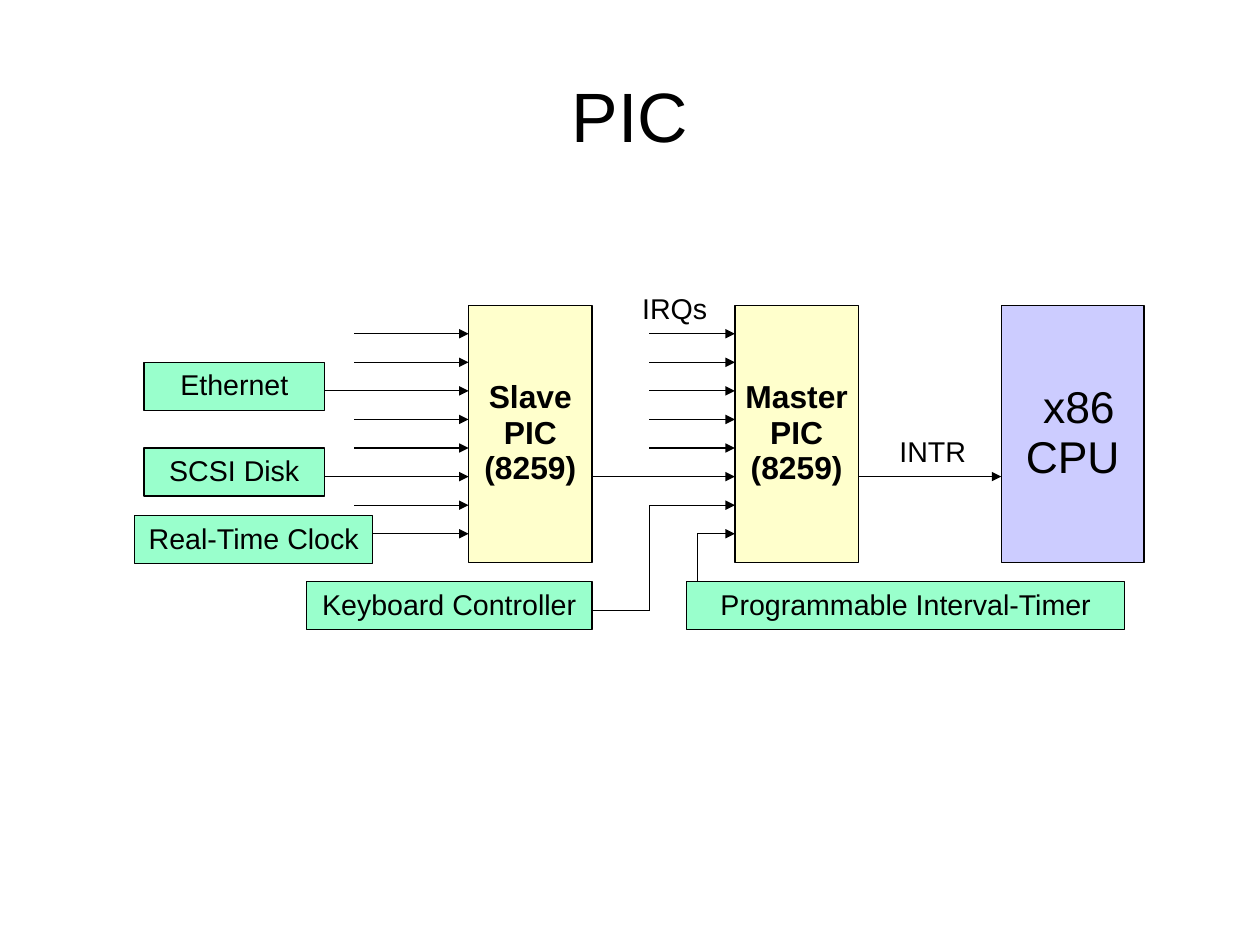
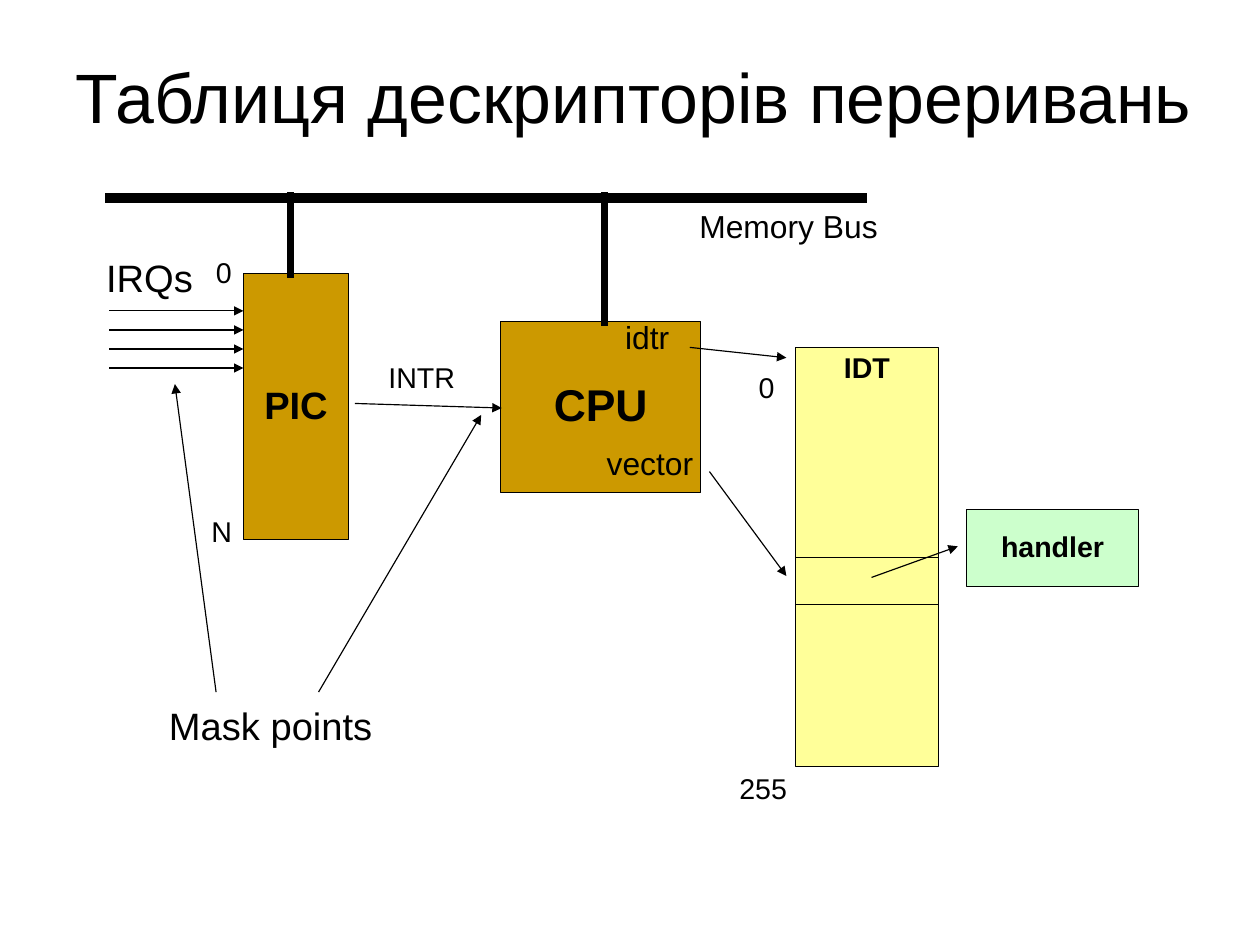
from lxml.etree import SubElement
from pptx import Presentation
from pptx.dml.color import RGBColor
from pptx.enum.shapes import MSO_CONNECTOR, MSO_SHAPE
from pptx.enum.text import MSO_ANCHOR, MSO_AUTO_SIZE, PP_ALIGN
from pptx.oxml.ns import qn
from pptx.util import Inches, Pt

# Shared style
FONT = "Arial"
BLACK = "000000"
CPU_BLUE = "CCCCFF"
PIC_CREAM = "FFFFCC"
DEVICE_GREEN = "99FFCC"
CHIP_BROWN = "CC9900"
TABLE_YELLOW = "FFFF99"
HANDLER_GREEN = "CCFFCC"
LINE_SPACING = 0.93


def add_text(page, text, at, size, fill=None, bold=False, anchor=MSO_ANCHOR.MIDDLE):
    """Add a filled box with centred text, or a plain label if there is no fill."""
    left, top, width, height = [Inches(length) for length in at]
    if fill:
        box = page.shapes.add_shape(MSO_SHAPE.RECTANGLE, left, top, width, height)
        box.shadow.inherit = False
        box.fill.solid()
        box.fill.fore_color.rgb = RGBColor.from_string(fill)
        box.line.color.rgb = RGBColor.from_string(BLACK)
        box.line.width = Pt(0.75)
        box.text_frame.vertical_anchor = anchor
    else:
        box = page.shapes.add_textbox(left, top, width, height)
        box.text_frame.auto_size = MSO_AUTO_SIZE.SHAPE_TO_FIT_TEXT
    box.text_frame.word_wrap = False
    box.text_frame.text = text
    for para in box.text_frame.paragraphs:
        para.alignment = PP_ALIGN.CENTER if fill else PP_ALIGN.LEFT
        para.line_spacing = LINE_SPACING
        para.font.name = FONT
        para.font.size = Pt(size)
        para.font.bold = bold
        para.font.color.rgb = RGBColor.from_string(BLACK)


def add_line(page, start, end, arrow=True, width=0.75):
    """Add a black line with square ends, and an arrowhead at its end if asked."""
    points = [Inches(length) for length in (*start, *end)]
    line = page.shapes.add_connector(MSO_CONNECTOR.STRAIGHT, *points)
    line.line.color.rgb = RGBColor.from_string(BLACK)
    line.line.width = Pt(width)
    properties = line._element.spPr
    outline = properties.find(qn("a:ln"))
    outline.set("cap", "sq")
    if arrow:
        SubElement(outline, qn("a:tailEnd"), type="triangle")
    SubElement(properties, qn("a:effectLst"))


# The page measures 28 by 21 centimetres
deck = Presentation()
deck.slide_width = Inches(28 / 2.54)
deck.slide_height = Inches(21 / 2.54)

# Pages and titles
pages = []
for title_text, at in [
    ("PIC", (0.55, 0.33, 9.92, 1.38)),
    ("Таблиця дескрипторів переривань", (0.19, 0.17, 10.72, 1.38)),
]:
    page = deck.slides.add_slide(deck.slide_layouts[5])
    title = page.shapes.title
    title.left, title.top, title.width, title.height = [Inches(length) for length in at]
    frame = title.text_frame
    frame.text = title_text
    frame.word_wrap = True
    frame.auto_size = MSO_AUTO_SIZE.NONE
    frame.vertical_anchor = MSO_ANCHOR.MIDDLE
    frame.margin_left = frame.margin_right = frame.margin_bottom = 0
    frame.margin_top = Inches(0.04)
    para = frame.paragraphs[0]
    para.alignment = PP_ALIGN.CENTER
    para.line_spacing = LINE_SPACING
    para.font.name = FONT
    para.font.size = Pt(44)
    para.font.color.rgb = RGBColor.from_string(BLACK)
    pages.append(page)
pic_page, idt_page = pages

# PIC: processor and controllers
slave_left, master_left, cpu_left = 4.1, 6.43, 8.76
chip_top, chip_width, chip_height = 2.67, 1.08, 2.25
add_text(pic_page, " x86\nCPU", (cpu_left, chip_top, 1.25, chip_height), 28, CPU_BLUE)
for name, left in [("Master", master_left), ("Slave", slave_left)]:
    add_text(pic_page, f"{name}\nPIC\n(8259)", (left, chip_top, chip_width, chip_height),
             20, PIC_CREAM, bold=True)

# PIC: eight inputs for each controller, some coming from a device
for chip_left, free_start, wired_starts in [
    (slave_left, 3.1, {2: 2.85, 5: 2.85, 7: 3.26}),
    (master_left, 5.68, {5: slave_left + chip_width, 7: 6.1}),
]:
    for irq in range(8):
        y = chip_top + 0.25 * (irq + 1)
        add_line(pic_page, (wired_starts.get(irq, free_start), y), (chip_left, y))
add_line(pic_page, (master_left + chip_width, 4.17), (cpu_left, 4.17))

# PIC: devices
for name, left, top, width in [
    ("Programmable Interval-Timer", 6.01, 5.09, 3.83),
    ("Keyboard Controller", 2.68, 5.09, 2.5),
    ("Real-Time Clock", 1.18, 4.51, 2.08),
    ("SCSI Disk", 1.26, 3.92, 1.58),
    ("Ethernet", 1.26, 3.17, 1.58),
]:
    add_text(pic_page, name, (left, top, width, 0.42), 18, DEVICE_GREEN)

# PIC: bent wires from the timer and the keyboard
for start, end in [
    ((6.1, 4.67), (6.1, 5.09)),
    ((5.68, 4.42), (5.68, 5.34)),
    ((5.68, 5.34), (5.18, 5.34)),
]:
    add_line(pic_page, start, end, arrow=False)

# PIC: labels
add_text(pic_page, "INTR", (7.77, 3.77, 0.78, 0.38), 18)
add_text(pic_page, "IRQs", (5.52, 2.52, 0.77, 0.38), 18)

# Descriptor table: boxes
for name, at, size, fill, anchor in [
    ("PIC", (2.13, 2.39, 0.92, 2.33), 24, CHIP_BROWN, MSO_ANCHOR.MIDDLE),
    ("CPU", (4.38, 2.81, 1.75, 1.5), 28, CHIP_BROWN, MSO_ANCHOR.MIDDLE),
    ("IDT", (6.96, 3.04, 1.25, 3.67), 18, TABLE_YELLOW, MSO_ANCHOR.TOP),
    ("handler", (8.46, 4.46, 1.5, 0.67), 18, HANDLER_GREEN, MSO_ANCHOR.MIDDLE),
]:
    add_text(idt_page, name, at, size, fill, bold=True, anchor=anchor)

# Descriptor table: memory bus and the selected entry
for start, end, width in [
    ((0.96, 1.73), (7.54, 1.73), 6),
    ((2.54, 2.4), (2.54, 1.71), 4.5),
    ((5.29, 2.82), (5.29, 1.71), 4.5),
    ((6.96, 4.88), (8.21, 4.88), 0.75),
    ((6.96, 5.29), (8.21, 5.29), 0.75),
]:
    add_line(idt_page, start, end, arrow=False, width=width)

# Descriptor table: interrupt inputs
for irq in range(4):
    y = 2.72 + irq / 6
    add_line(idt_page, (0.96, y), (2.13, y))

# Descriptor table: arrows
for start, end in [
    ((3.11, 3.53), (4.39, 3.57)),
    ((6.04, 3.04), (6.88, 3.13)),
    ((7.63, 5.05), (8.38, 4.78)),
    ((6.21, 4.13), (6.88, 5.04)),
    ((1.89, 6.05), (1.53, 3.36)),
    ((2.79, 6.05), (4.21, 3.63)),
]:
    add_line(idt_page, start, end)

# Descriptor table: labels
for text, at, size in [
    ("Memory Bus", (6.02, 1.79, 1.76, 0.41), 20),
    ("INTR", (3.3, 3.13, 0.78, 0.38), 18),
    ("0", (1.79, 2.21, 0.34, 0.38), 18),
    ("N", (1.75, 4.47, 0.38, 0.38), 18),
    ("IRQs", (0.83, 2.21, 0.96, 0.47), 24),
    ("0", (6.54, 3.21, 0.34, 0.38), 18),
    ("255", (6.37, 6.72, 0.64, 0.38), 18),
    ("idtr", (5.37, 2.76, 0.61, 0.41), 20),
    ("vector", (5.21, 3.86, 0.96, 0.41), 20),
    ("Mask points", (1.38, 6.13, 1.98, 0.47), 24),
]:
    add_text(idt_page, text, at, size)

deck.save("out.pptx")
